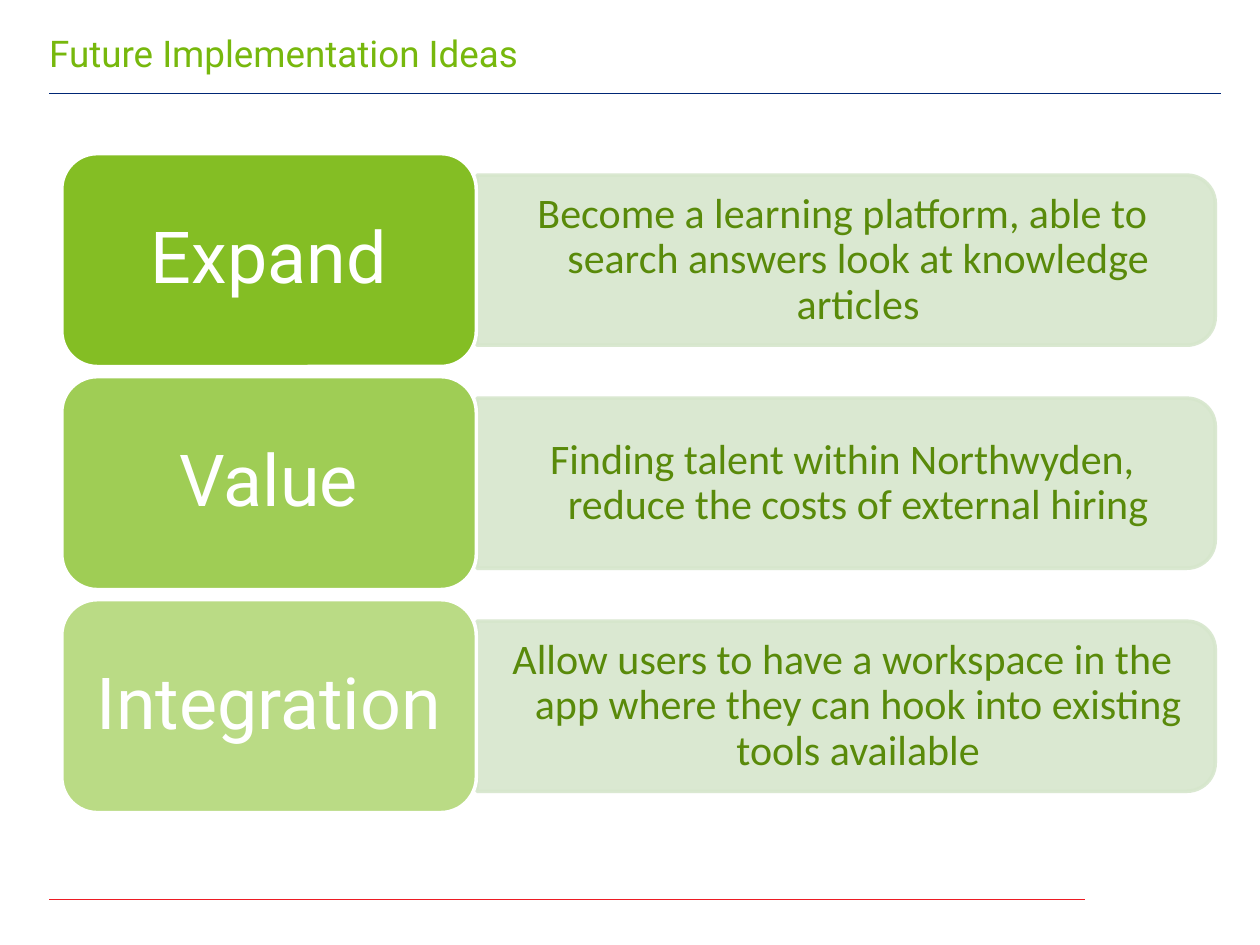
from lxml.etree import SubElement
from pptx import Presentation
from pptx.dml.color import RGBColor
from pptx.enum.shapes import MSO_CONNECTOR as Connector, MSO_SHAPE as Shape
from pptx.enum.text import MSO_ANCHOR as Anchor, MSO_AUTO_SIZE as AutoSize, PP_ALIGN as Align
from pptx.oxml.ns import qn
from pptx.util import Inches, Pt

GREEN = RGBColor(0x77, 0xB8, 0x0D)
DARK_GREEN = RGBColor(0x59, 0x8A, 0x0A)
PALE_GREEN = RGBColor(0xD6, 0xE6, 0xCC)
WHITE = RGBColor(0xFF, 0xFF, 0xFF)
NAVY = RGBColor(0x00, 0x27, 0x75)
RED = RGBColor(0xED, 0x1C, 0x24)

# Heading, description, opacity of the heading card in percent
IDEAS = [
    ("Expand", "Become a learning platform, able to search answers look at knowledge articles", 90),
    ("Value", "Finding talent within Northwyden, reduce the costs of external hiring", 70),
    ("Integration", "Allow users to have a workspace in the app where they can hook into "
                    "existing tools available", 50),
]
FIRST_ROW, ROW_STEP = 27.53, 23.6  # row centres, percent of the slide height


def set_opacity(color_parent, percent):
    for color in color_parent.iter(qn("a:srgbClr")):
        SubElement(color, qn("a:alpha"), val=str(percent * 1000))


def write_text(frame, text, font, size, color, align=Align.CENTER, anchor=Anchor.MIDDLE,
               insets=(0.1, 0.05, 0.1, 0.05), hanging=0):
    frame.word_wrap = True
    frame.auto_size = AutoSize.NONE
    frame.vertical_anchor = anchor
    (frame.margin_left, frame.margin_top,
     frame.margin_right, frame.margin_bottom) = [Inches(inset) for inset in insets]
    para = frame.paragraphs[0]
    para.alignment = align
    para.line_spacing = 0.9
    para.space_before = Pt(0)
    if hanging:
        properties = para._p.get_or_add_pPr()
        properties.set("marL", str(Inches(hanging)))
        properties.set("indent", str(-Inches(hanging)))
    span = para.add_run()
    span.text = text
    span.font.name, span.font.size = font, Pt(size)
    span.font.color.rgb = color


class IdeaPage:
    """Draws on one slide; all lengths are percentages of its width and height."""
    heading_font, body_font = "Roboto", "Calibri"

    def __init__(self, deck):
        self.width, self.height = deck.slide_width, deck.slide_height
        self.page = deck.slides.add_slide(deck.slide_layouts[5])

    def x(self, share):
        return round(self.width * share / 100)

    def y(self, share):
        return round(self.height * share / 100)

    def row_box(self, left, middle, width, height):
        """Left, top, width and height of a box centred on a row."""
        return self.x(left), self.y(middle - height / 2), self.x(width), self.y(height)

    def title(self, text):
        box = self.page.shapes.title
        box.left, box.top, box.width, box.height = (
            self.x(3.9), self.y(3.73), self.x(87.4), self.y(4.67))
        write_text(box.text_frame, text, self.heading_font, 21, GREEN,
                   align=Align.LEFT, anchor=Anchor.TOP, insets=(0, 0, 0.1, 0))

    def rule(self, start, end, level, color, weight):
        line = self.page.shapes.add_connector(
            Connector.STRAIGHT, self.x(start), self.y(level), self.x(end), self.y(level))
        line.line.color.rgb, line.line.width = color, Pt(weight)
        SubElement(line._element.spPr, qn("a:effectLst"))

    def shape(self, kind, box, fill, line, opacity, line_opacity=100):
        shape = self.page.shapes.add_shape(kind, *box)
        shape.shadow.inherit = False
        shape.fill.solid()
        shape.fill.fore_color.rgb = fill
        set_opacity(shape._element.spPr, opacity)
        shape.line.color.rgb, shape.line.width = line, Pt(2)
        set_opacity(shape._element.spPr.find(qn("a:ln")), line_opacity)
        return shape

    def label(self, box, text, font, size, color, **layout):
        frame = self.page.shapes.add_textbox(*box).text_frame
        write_text(frame, text, font, size, color, **layout)

    def panel(self, middle, text):
        """A bar rounded on its right side: a quarter-turned shape under upright text."""
        left, top, width, height = self.row_box(37.85, middle, 58.6, 18)
        turned = (left + (width - height) // 2, top + (height - width) // 2, height, width)
        shape = self.shape(Shape.ROUND_2_SAME_RECTANGLE, turned, PALE_GREEN, PALE_GREEN, 90, 90)
        shape.rotation = 90
        self.label(self.row_box(37.9, middle, 57.9, 16.27), text,
                   self.body_font, 24, DARK_GREEN, hanging=0.25)

    def card(self, middle, text, opacity):
        self.shape(Shape.ROUNDED_RECTANGLE, self.row_box(4.9, middle, 32.9, 22.53),
                   GREEN, WHITE, opacity)
        self.label(self.row_box(5.7, middle, 31.3, 20.27), text,
                   self.heading_font, 41, WHITE, insets=(0.17, 0.09, 0.17, 0.09))


def main():
    deck = Presentation()
    deck.slide_width, deck.slide_height = Inches(10), Inches(7.5)
    page = IdeaPage(deck)
    page.rule(3.9, 86.1, 95.2, RED, 1)
    page.rule(96.9, 3.9, 9.87, NAVY, 0.75)
    page.title("Future Implementation Ideas")
    for row, (heading, description, opacity) in enumerate(IDEAS):
        middle = FIRST_ROW + row * ROW_STEP
        page.panel(middle, description)
        page.card(middle, heading, opacity)
    deck.save("out.pptx")


if __name__ == "__main__":
    main()
